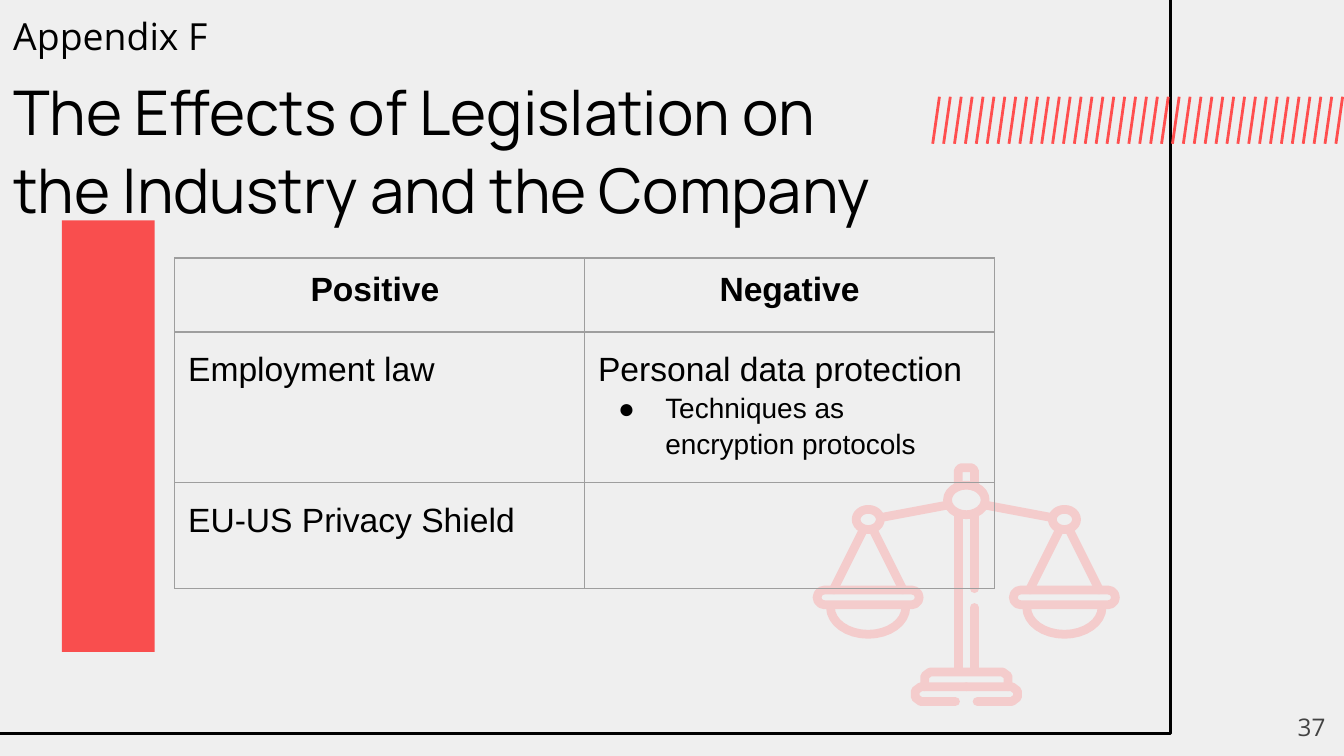
import math
from dataclasses import dataclass

from lxml import etree
from pptx import Presentation
from pptx import util as u
from pptx.dml.color import RGBColor
from pptx.enum import shapes, text
from pptx.oxml import parse_xml
from pptx.oxml.ns import nsdecls, qn


@dataclass(frozen=True)
class Theme:
    background: str = "EFEFEF"
    ink: str = "000000"
    muted: str = "434343"
    grid: str = "9E9E9E"
    slash: str = "FF4F4F"
    bar: str = "FF0000"
    scales: str = "F4CCCC"
    heading_font: str = "Manrope"
    label_font: str = "Open Sans"
    body_font: str = "Arial"
    title_size: float = 33
    label_size: float = 20
    body_size: float = 18
    detail_size: float = 15
    number_size: float = 13


def color(value):
    return RGBColor.from_string(value)


def write(paragraph, content, *, size, font, ink, bold=False, align=None, spacing=None,
          before=None, bullet=None):
    properties = paragraph._p.get_or_add_pPr()
    if bullet:
        properties.set("marL", str(u.Inches(0.5)))
        properties.set("indent", str(u.Inches(-0.35)))
        bullet_color = etree.SubElement(properties, qn("a:buClr"))
        etree.SubElement(bullet_color, qn("a:srgbClr")).set("val", ink)
        etree.SubElement(properties, qn("a:buFont")).set("typeface", font)
        etree.SubElement(properties, qn("a:buChar")).set("char", bullet)
    if align is not None:
        paragraph.alignment = align
    if spacing is not None:
        paragraph.line_spacing = spacing
    if before is not None:
        paragraph.space_before = u.Pt(before)
    run = paragraph.add_run()
    run.text = content
    run.font.size = u.Pt(size)
    run.font.name = font
    run.font.bold = bold
    run.font.color.rgb = color(ink)


class SlideBuilder:
    def __init__(self, presentation, theme):
        self.theme = theme
        self.slide = presentation.slides.add_slide(presentation.slide_layouts[6])
        fill = self.slide.background.fill
        fill.solid()
        fill.fore_color.rgb = color(theme.background)

    def style(self, shape, *, fill=None, opacity=None, line=None, width=1.5):
        shape.shadow.inherit = False
        if fill:
            shape.fill.solid()
            shape.fill.fore_color.rgb = color(fill)
            if opacity is not None:
                tone = shape.fill._xPr.find(".//" + qn("a:srgbClr"))
                etree.SubElement(tone, qn("a:alpha")).set("val", str(opacity * 1000))
        else:
            shape.fill.background()
        if line:
            shape.line.color.rgb = color(line)
            shape.line.width = u.Pt(width)
        else:
            shape.line.fill.background()

    def shape(self, kind, box, **style):
        shape = self.slide.shapes.add_shape(kind, *map(u.Inches, box))
        self.style(shape, **style)
        return shape

    def line(self, start, end, ink, width=1.5):
        points = map(u.Inches, (*start, *end))
        line = self.slide.shapes.add_connector(shapes.MSO_CONNECTOR.STRAIGHT, *points)
        line.line.color.rgb = color(ink)
        line.line.width = u.Pt(width)
        etree.SubElement(line._element.spPr, qn("a:effectLst"))

    def stroke(self, points, ink, width):
        """Draw an open path with round ends."""
        (x, y), *rest = [(u.Inches(px), u.Inches(py)) for px, py in points]
        builder = self.slide.shapes.build_freeform(x, y)
        builder.add_line_segments(rest, close=False)
        shape = builder.convert_to_shape()
        self.style(shape, line=ink, width=width)
        shape.line._get_or_add_ln().set("cap", "rnd")

    def text(self, box, paragraphs, anchor=text.MSO_ANCHOR.TOP):
        frame = self.slide.shapes.add_textbox(*map(u.Inches, box)).text_frame
        frame.word_wrap = True
        frame.vertical_anchor = anchor
        self.fill_frame(frame, paragraphs)
        frame.margin_left = frame.margin_right = u.Inches(0.1)
        frame.margin_top = frame.margin_bottom = u.Inches(0.1)

    def fill_frame(self, frame, paragraphs):
        for index, (content, style) in enumerate(paragraphs):
            paragraph = frame.add_paragraph() if index else frame.paragraphs[0]
            write(paragraph, content, **style)

    def table(self, left, top, columns, rows, cells):
        box = map(u.Inches, (left, top, sum(columns), sum(rows)))
        table = self.slide.shapes.add_table(len(rows), len(columns), *box).table
        table.first_row = table.horz_banding = False
        for column, width in zip(table.columns, columns):
            column.width = u.Inches(width)
        for row, height, contents in zip(table.rows, rows, cells):
            row.height = u.Inches(height)
            for cell, paragraphs in zip(row.cells, contents):
                cell.margin_left = cell.margin_right = u.Inches(0.1)
                cell.margin_top = cell.margin_bottom = u.Inches(0.1)
                self.cell_borders(cell)
                cell.fill.background()
                self.fill_frame(cell.text_frame, paragraphs)

    def cell_borders(self, cell):
        for side in ("lnL", "lnR", "lnT", "lnB"):
            cell._tc.get_or_add_tcPr().append(parse_xml(
                f'<a:{side} {nsdecls("a")} w="{u.Pt(0.75)}"><a:solidFill>'
                f'<a:srgbClr val="{self.theme.grid}"/></a:solidFill></a:{side}>'))

    def scales(self, center):
        """Draw a balance that is symmetric about the given x, except for its post."""
        ink, width = self.theme.scales, 4.7
        outline = dict(line=ink, width=width)
        oval, rounded = shapes.MSO_SHAPE.OVAL, shapes.MSO_SHAPE.ROUNDED_RECTANGLE
        self.shape(oval, (center - 0.14, 3.61, 0.28, 0.22), **outline)
        cap = [(-0.06, 3.6), (-0.06, 3.5), (-0.04, 3.48), (0.04, 3.48), (0.06, 3.5), (0.06, 3.6)]
        post = [[(-0.06, 3.84), (-0.06, 4.97)], [(0.06, 3.84), (0.06, 4.38)], [(0.06, 4.52), (0.06, 4.97)]]
        plinth = [(-0.31, 5.11), (-0.31, 5.03), (-0.27, 5), (0.27, 5), (0.31, 5.03), (0.31, 5.11)]
        for points in (cap, *post, plinth):
            self.stroke([(center + x, y) for x, y in points], ink, width)

        arm = [(0.15, 3.76), (0.63, 3.85)]
        cords = [[(0.73 + sign * 0.04, 3.95), (0.73 + sign * 0.26, 4.39)] for sign in (-1, 1)]
        angles = [math.pi * step / 16 for step in range(17)]
        bowl = [(0.73 + 0.28 * math.cos(a), 4.52 + 0.2 * math.sin(a)) for a in angles]
        foot = [(0, 5.11), (0.34, 5.11), (0.38, 5.14), (0.38, 5.19), (0.34, 5.22), (0.08, 5.22)]
        for side in (-1, 1):
            pan = center + side * 0.73
            self.shape(oval, (pan - 0.09, 3.79, 0.18, 0.15), **outline)
            plate = self.shape(rounded, (pan - 0.38, 4.39, 0.76, 0.11), **outline)
            plate.adjustments[0] = 0.5
            for points in (arm, *cords, bowl, foot):
                self.stroke([(center + side * x, y) for x, y in points], ink, width)


def main():
    theme = Theme()
    presentation = Presentation()
    presentation.slide_width = u.Inches(10)
    presentation.slide_height = u.Inches(10 * 9 / 16)
    page = SlideBuilder(presentation, theme)
    rectangle = shapes.MSO_SHAPE.RECTANGLE

    page.shape(rectangle, (-0.11, -0.11, 8.82, 5.57), line=theme.ink)
    slash_count, first, last = 38, 6.99, 9.99
    for index in range(slash_count):
        x = first + index * (last - first) / (slash_count - 1)
        page.line((x, 0.72), (x - 0.05, 1.07), theme.slash)
    page.shape(rectangle, (0.46, 1.64, 0.69, 3.21), fill=theme.bar, opacity=67)

    title = dict(size=theme.title_size, font=theme.heading_font, ink=theme.ink)
    page.text((0, 0.45, 8.43, 0.63), [
        ("The Effects of Legislation on", title),
        ("the Industry and the Company", dict(title, before=2)),
    ])
    page.scales(7.19)
    number = dict(size=theme.number_size, font=theme.label_font, ink=theme.muted,
                  align=text.PP_ALIGN.RIGHT)
    page.text((9.36, 5.19, 0.6, 0.43), [("37", number)], anchor=text.MSO_ANCHOR.MIDDLE)

    base = dict(size=theme.body_size, font=theme.body_font, ink=theme.ink)
    header = dict(base, bold=True, align=text.PP_ALIGN.CENTER)
    body = dict(base, spacing=1.15)
    detail = dict(body, size=theme.detail_size, bullet="●")
    page.table(1.3, 1.92, [3.05, 3.05], [0.55, 1.12, 0.79], [
        [[("Positive ", header)], [("Negative", header)]],
        [[("Employment law", body)],
         [("Personal data protection", body), ("Techniques as encryption protocols", detail)]],
        [[("EU-US Privacy Shield", body)], []],
    ])
    label = dict(size=theme.label_size, font=theme.label_font, ink=theme.ink)
    page.text((0, 0, 3.28, 0.54), [("Appendix F", label)])

    presentation.save("out.pptx")


if __name__ == "__main__":
    main()
